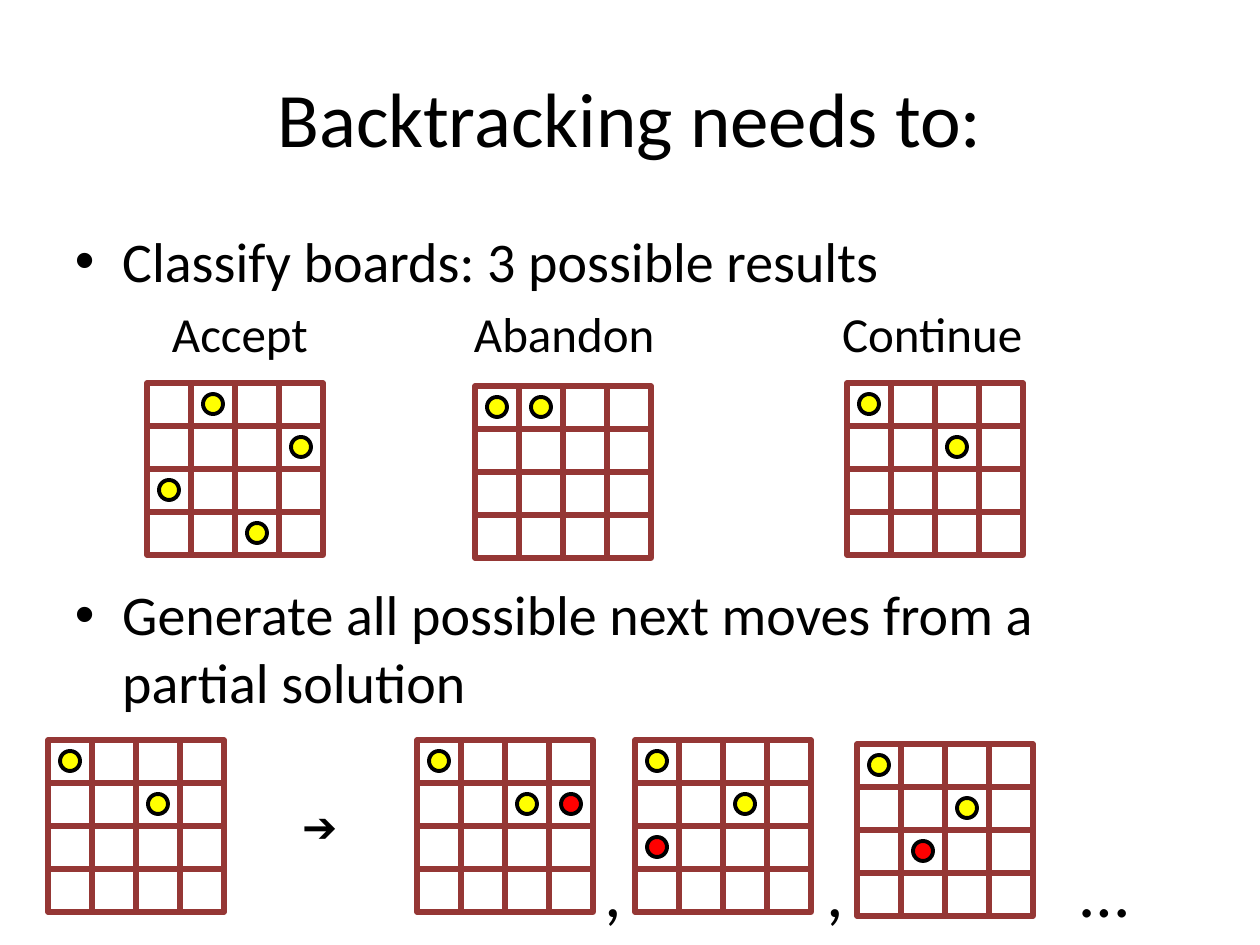
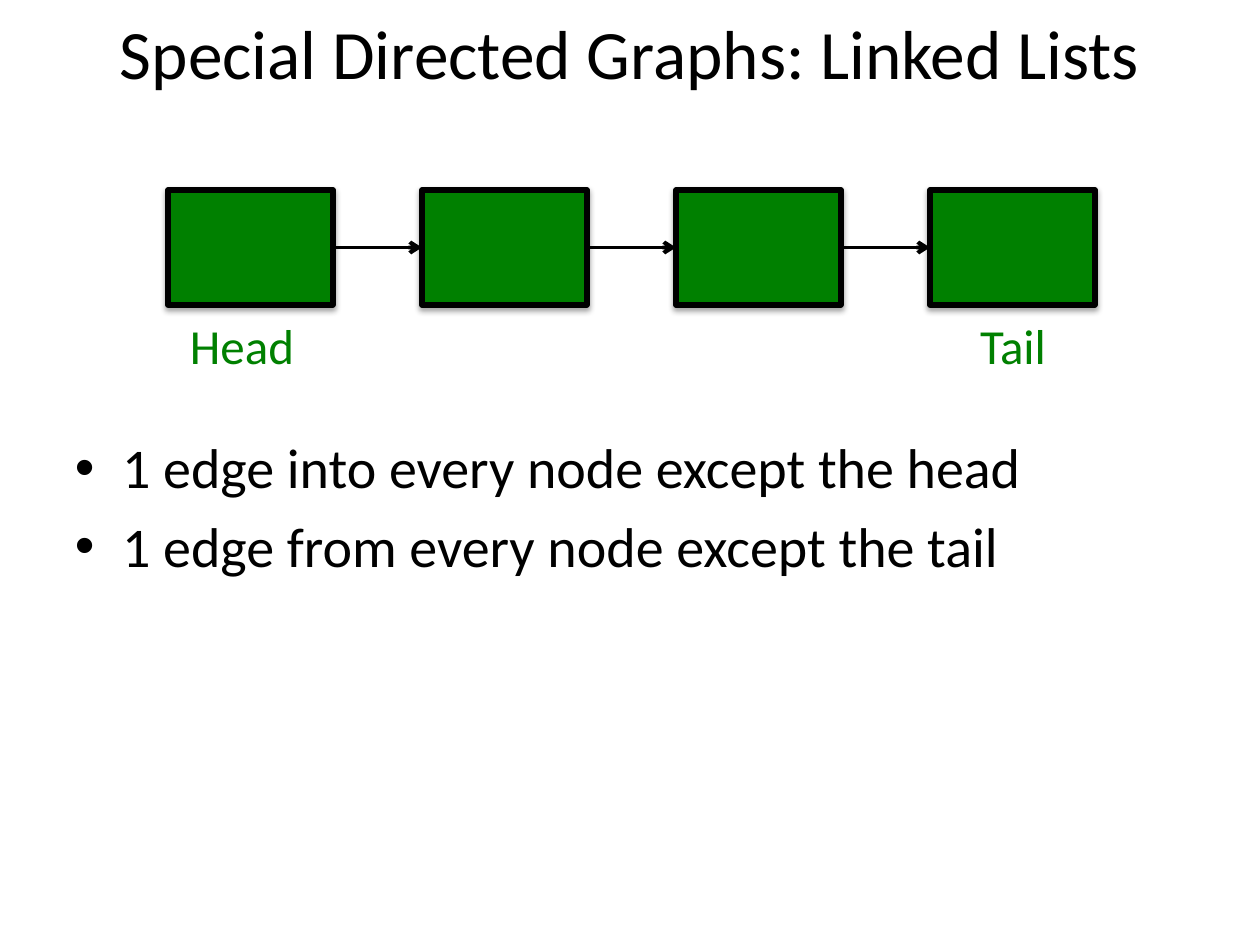
import pptx
import pptx.util
import pptx.dml.color
import pptx.enum.shapes
import pptx.enum.text
import pptx.oxml
import pptx.oxml.ns

PX = 914400 / 126
COLORS = {"ink": "000000", "grid": "953735", "placed": "FFFF00",
          "next": "FF0000", "node": "008000"}
FONT = "Calibri"
CELL_W, CELL_H, QUEEN = 44, 43, 20
NODE_LEFT, NODE_TOP, NODE_W, NODE_H, NODE_STEP = 168, 190, 165, 115, 254
BODY = {"left": 75, "width": 1109, "size": 32, "bullet": True}
MSO_SHAPE = pptx.enum.shapes.MSO_SHAPE
qn = pptx.oxml.ns.qn
NS = pptx.oxml.ns.nsdecls("a")


def put_text(slide, lines, left, top, width, height, size, color="ink",
             bullet=False, title=False):
    box = slide.shapes.add_textbox(*[round(v * PX) for v in (left, top, width, height)])
    frame = box.text_frame
    anchor = pptx.enum.text.MSO_ANCHOR
    frame_format = {"word_wrap": True,
                    "vertical_anchor": anchor.MIDDLE if title else anchor.TOP,
                    "margin_left": 0, "margin_right": 0,
                    "margin_top": 0, "margin_bottom": 0}
    for key, value in frame_format.items():
        setattr(frame, key, value)
    for number, line in enumerate(lines):
        paragraph = frame.add_paragraph() if number else frame.paragraphs[0]
        if title:
            paragraph.alignment = pptx.enum.text.PP_ALIGN.CENTER
        if bullet:
            properties = paragraph._p.get_or_add_pPr()
            properties.set("marL", "342900")
            properties.set("indent", "-342900")
            for tag, key, value in (("a:buFont", "typeface", "Arial"),
                                    ("a:buChar", "char", "•")):
                properties.append(pptx.oxml.parse_xml(f'<{tag} {NS} {key}="{value}"/>'))
        if number:
            paragraph.space_before = pptx.util.Pt(size * 0.2)
        run = paragraph.add_run()
        run.text = line
        for key, value in {"name": FONT, "size": pptx.util.Pt(size)}.items():
            setattr(run.font, key, value)
        run.font.color.rgb = pptx.dml.color.RGBColor.from_string(COLORS[color])


def put_shape(parent, kind, left, top, width, height, fill, line, weight):
    shape = parent.shapes.add_shape(
        kind, *[round(v * PX) for v in (left, top, width, height)])
    shape.shadow.inherit = False
    if fill:
        shape.fill.solid()
        shape.fill.fore_color.rgb = pptx.dml.color.RGBColor.from_string(COLORS[fill])
    else:
        shape.fill.background()
    shape.line.color.rgb = pptx.dml.color.RGBColor.from_string(COLORS[line])
    shape.line.width = pptx.util.Pt(weight)
    return shape


deck = pptx.Presentation()
deck.slide_width = round(1260 * PX)
deck.slide_height = round(945 * PX)
blank = deck.slide_layouts[6]

# Slide 1: title and the two tasks
backtracking = deck.slides.add_slide(blank)
put_text(backtracking, ["Backtracking needs to:"], 63, 38, 1134, 157, 44, title=True)
put_text(backtracking, ["Classify boards: 3 possible results"], top=226, height=70, **BODY)
put_text(backtracking, ["Generate all possible next moves from a partial solution"],
         top=580, height=140, **BODY)

# Labels over the boards, and the signs between them
for text, left, top, width, size in (
        ("Accept", 172, 304, 220, 28), ("Abandon", 474, 304, 260, 28),
        ("Continue", 842, 304, 260, 28), ("➔", 302, 801, 80, 24),
        (",", 604, 848, 30, 40), (",", 827, 848, 30, 40), ("…", 1081, 848, 100, 40)):
    put_text(backtracking, [text], left, top, width, round(size * 2.14), size)

# Boards: left, top, placed queens and next moves as (row, column)
partial = [(0, 0), (1, 2)]
boards = [
    (147, 383, [(0, 1), (1, 3), (2, 0), (3, 2)], []),
    (475, 386, [(0, 0), (0, 1)], []),
    (847, 383, partial, []),
    (48, 740, partial, []),
    (417, 740, partial, [(1, 3)]),
    (635, 740, partial, [(2, 0)]),
    (857, 744, partial, [(2, 1)]),
]
for left, top, placed, moves in boards:
    board = backtracking.shapes.add_group_shape()
    for row in range(4):
        for column in range(4):
            put_shape(board, MSO_SHAPE.RECTANGLE, left + column * CELL_W,
                      top + row * CELL_H, CELL_W, CELL_H, None, "grid", 3)
    for color, queens in (("placed", placed), ("next", moves)):
        for row, column in queens:
            put_shape(board, MSO_SHAPE.OVAL,
                      left + column * CELL_W + (CELL_W - QUEEN) // 2,
                      top + row * CELL_H + (CELL_H - QUEEN) // 2,
                      QUEEN, QUEEN, color, "ink", 2.25)

# Slide 2: title and bullets
linked_lists = deck.slides.add_slide(blank)
put_text(linked_lists, ["Special Directed Graphs: Linked Lists"],
         63, 0, 1134, 104, 39.6, title=True)
put_text(linked_lists, ["1 edge into every node except the head",
                        "1 edge from every node except the tail"],
         top=433, height=150, **BODY)

# Nodes with a soft shadow below
nodes = []
for index in range(4):
    node = put_shape(linked_lists, MSO_SHAPE.RECTANGLE, NODE_LEFT + index * NODE_STEP,
                     NODE_TOP, NODE_W, NODE_H, "node", "ink", 3)
    node._element.spPr.find(qn("a:effectLst")).append(pptx.oxml.parse_xml(
        f'<a:outerShdw {NS} blurRad="40000" dist="23000" '
        'dir="5400000" rotWithShape="0"><a:srgbClr val="000000">'
        '<a:alpha val="35000"/></a:srgbClr></a:outerShdw>'))
    nodes.append(node)

# Edges from each node to the next
for source, target in zip(nodes, nodes[1:]):
    edge = linked_lists.shapes.add_connector(
        pptx.enum.shapes.MSO_CONNECTOR.STRAIGHT, 0, 0, 0, 0)
    edge.begin_connect(source, 3)
    edge.end_connect(target, 1)
    edge.line.color.rgb = pptx.dml.color.RGBColor.from_string(COLORS["ink"])
    edge.line.width = pptx.util.Pt(2.25)
    edge.line._get_or_add_ln().append(pptx.oxml.parse_xml(
        f'<a:tailEnd {NS} type="arrow"/>'))
    edge._element.spPr.append(pptx.oxml.parse_xml(f'<a:effectLst {NS}/>'))

# End labels
for text, left in (("Head", 190), ("Tail", 980)):
    put_text(linked_lists, [text], left, 316, 160, 60, 28, "node")

deck.save("out.pptx")
